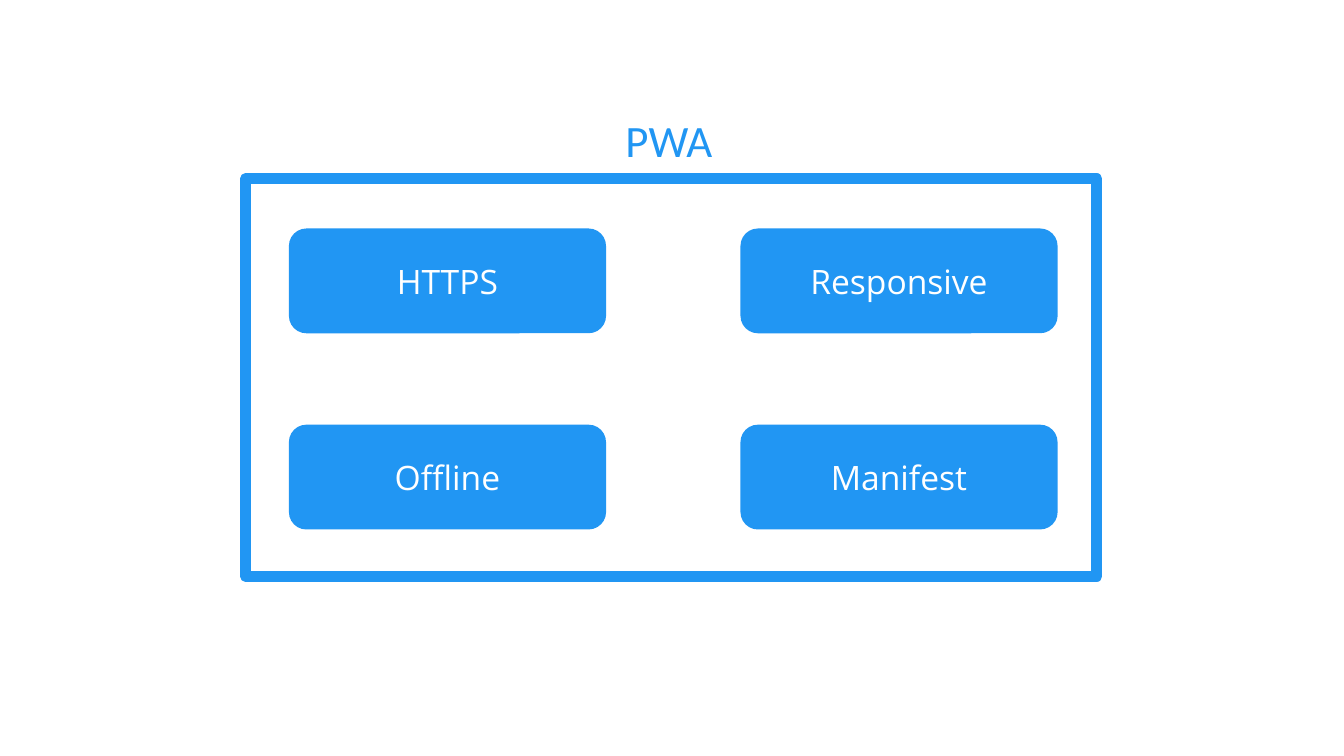
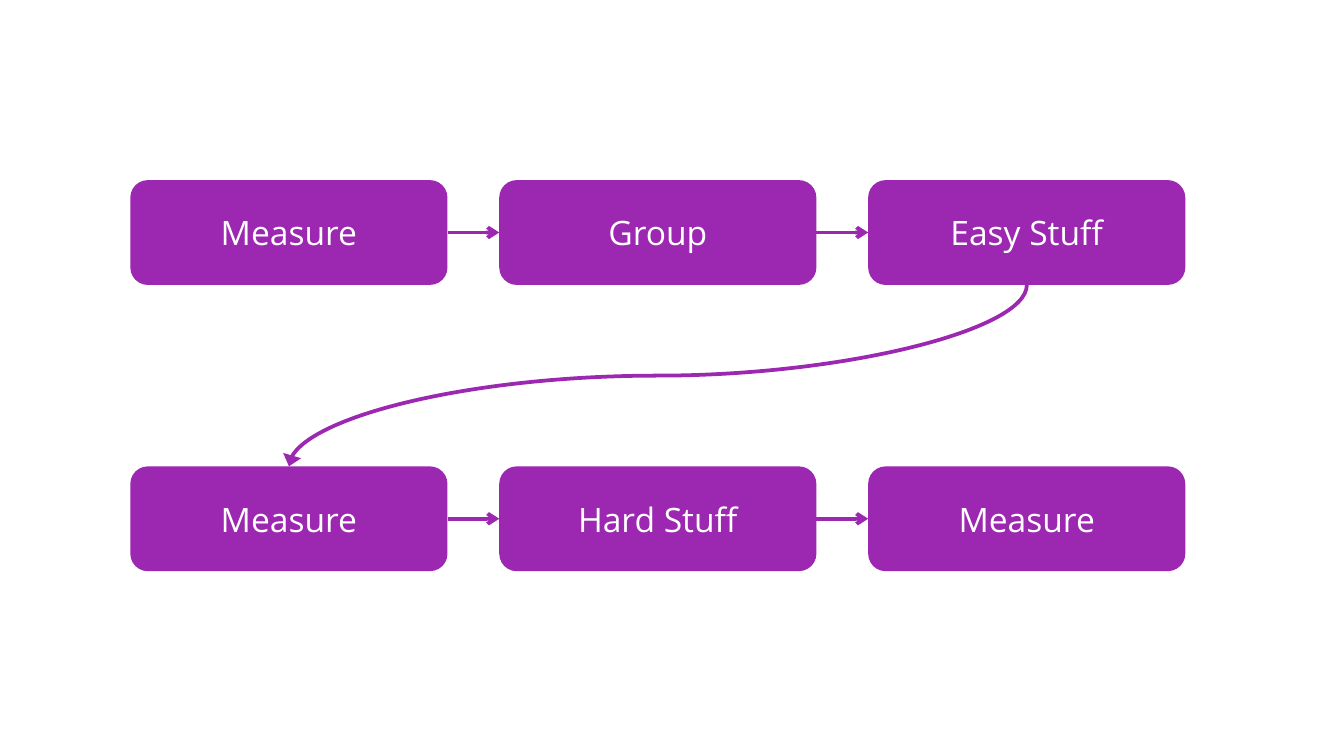
from lxml import etree
from pptx import Presentation
from pptx import util as u
from pptx.dml.color import RGBColor
from pptx.enum import shapes, text
from pptx.oxml.ns import qn

BLUE, PURPLE, WHITE = "2196F3", "9C27B0", "FFFFFF"
WIDE = u.Inches(10)
BOX_W, BOX_H = 2.36, 0.78
TOP, LEFT, BOTTOM, RIGHT = range(4)  # connection sites of a box
BODY = {"name": "Open Sans", "size": u.Pt(18)}
LABEL = {"name": "Calibri", "size": u.Pt(24)}
OPEN = {"type": "arrow"}
SOLID = {"type": "triangle", "w": "lg"}


def paint(color, code):
    color.rgb = RGBColor.from_string(code)


def apply(obj, values):
    for key, value in values.items():
        setattr(obj, key, value)


def write(frame, words, font, code, align):
    para = frame.paragraphs[0]
    para.alignment = align
    run = para.add_run()
    run.text = words
    apply(run.font, font)
    paint(run.font.color, code)


def add_box(slide, x, y, words, code):
    box = slide.shapes.add_shape(shapes.MSO_SHAPE.ROUNDED_RECTANGLE,
                                 *map(u.Inches, (x, y, BOX_W, BOX_H)))
    box.shadow.inherit = False
    box.fill.solid()
    paint(box.fill.fore_color, code)
    box.line.fill.background()
    box.text_frame.vertical_anchor = text.MSO_ANCHOR.MIDDLE
    write(box.text_frame, words, BODY, WHITE, text.PP_ALIGN.CENTER)
    return box


def add_grid(slide, area, rows, code):
    """Spread rows of boxes evenly over the area."""
    x, y, w, h = area
    step_x = (w - BOX_W) / (len(rows[0]) - 1)
    step_y = (h - BOX_H) / (len(rows) - 1)
    return [[add_box(slide, x + c * step_x, y + r * step_y, words, code)
             for c, words in enumerate(row)] for r, row in enumerate(rows)]


def add_link(slide, kind, start, end, code, head):
    """Join two (box, site) ends with an arrow."""
    link = slide.shapes.add_connector(kind, 0, 0, 0, 0)
    link.begin_connect(*start)
    link.end_connect(*end)
    link.line.width = u.Pt(2)
    paint(link.line.color, code)
    line = link._element.spPr.find(qn("a:ln"))
    etree.SubElement(line, qn("a:tailEnd"), head)
    etree.SubElement(link._element.spPr, qn("a:effectLst"))
    return link


def turn(link):
    """Make a curve that falls to the left leave and arrive vertically."""
    x, y, w, h = link.left, link.top, link.width, link.height
    form = link._element.spPr.find(qn("a:xfrm"))
    form.attrib.pop("flipH", None)
    form.set("rot", "5400000")
    apply(link, {"left": x + (w - h) // 2, "top": y + (h - w) // 2,
                 "width": h, "height": w})


def add_frame(slide, area, title, code):
    x, y, w, h = area
    frame = slide.shapes.add_shape(shapes.MSO_SHAPE.RECTANGLE,
                                   *map(u.Inches, area))
    frame.shadow.inherit = False
    frame.fill.background()
    frame.line.width = u.Pt(6)
    paint(frame.line.color, code)
    # Label centred above the frame
    label = slide.shapes.add_textbox(
        *map(u.Inches, (x + w / 2 - 0.44, y - 0.54, 0.88, 0.5)))
    apply(label.text_frame, {"word_wrap": False,
                             "auto_size": text.MSO_AUTO_SIZE.SHAPE_TO_FIT_TEXT})
    write(label.text_frame, title, LABEL, code, text.PP_ALIGN.LEFT)


def add_parts(slide):
    add_grid(slide, (2.15, 1.7, 5.72, 2.24),
             [["HTTPS", "Responsive"], ["Offline", "Manifest"]], BLUE)
    add_frame(slide, (1.83, 1.33, 6.33, 2.96), "PWA", BLUE)


def add_flow(slide):
    grid = add_grid(slide, (0.97, 1.34, 7.85, 2.91),
                    [["Measure", "Group", "Easy Stuff"],
                     ["Measure", "Hard Stuff", "Measure"]], PURPLE)
    kinds = shapes.MSO_CONNECTOR
    # Arrows along each row
    for row in grid:
        for one, two in zip(row, row[1:]):
            add_link(slide, kinds.STRAIGHT, (one, RIGHT), (two, LEFT),
                     PURPLE, OPEN)
    # Curve from the end of the first row to the start of the second
    turn(add_link(slide, kinds.CURVE, (grid[0][-1], BOTTOM),
                  (grid[1][0], TOP), PURPLE, SOLID))


def main():
    deck = Presentation()
    apply(deck, {"slide_width": WIDE, "slide_height": WIDE * 9 // 16})
    blank = deck.slide_layouts[6]
    for build in (add_parts, add_flow):
        build(deck.slides.add_slide(blank))
    deck.save("out.pptx")


if __name__ == "__main__":
    main()
